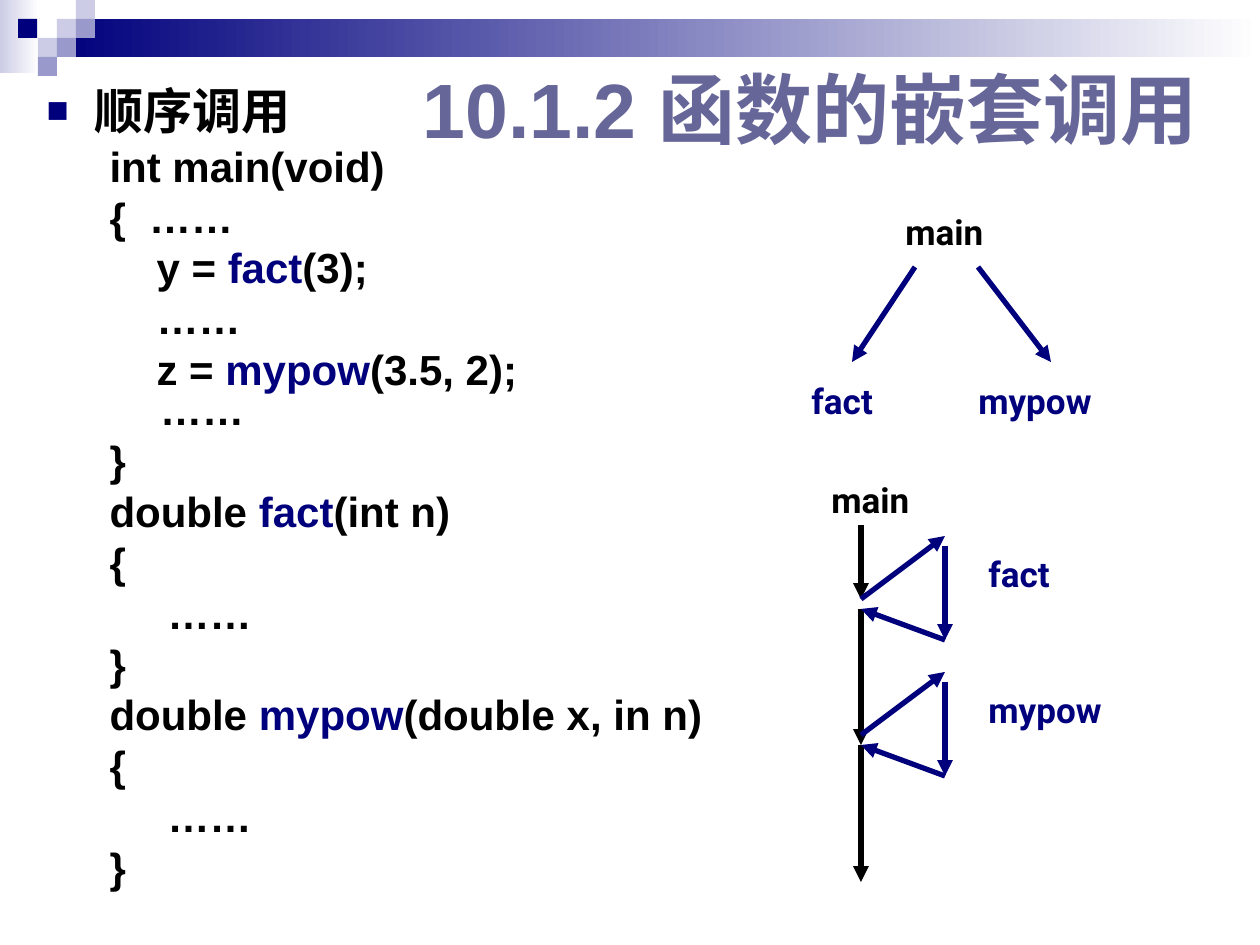
from lxml import etree
from pptx import Presentation
from pptx.dml.color import RGBColor
from pptx.enum.shapes import MSO_CONNECTOR as Connector, MSO_SHAPE as Shape
from pptx.enum.text import MSO_ANCHOR as Anchor, MSO_AUTO_SIZE as AutoSize, PP_ALIGN as Align
from pptx.oxml.ns import qn
from pptx.util import Pt

EMU_PER_PIXEL = 914400 / 126
BLACK, NAVY, SLATE = "000000", "00007D", "666699"
LILAC, VIOLET, WHITE = "CCCCE6", "9999CC", "FFFFFF"


def px(value):
    return round(value * EMU_PER_PIXEL)


def color(hex_string):
    return RGBColor.from_string(hex_string)


def add_xml(parent, tag, **attributes):
    return etree.SubElement(parent, qn(tag), {k: str(v) for k, v in attributes.items()})


def write(paragraph, *runs, size, font="Arial", fill=BLACK, before=0, spacing=None):
    """Each run is a string or a (string, colour) pair; a newline breaks the line."""
    paragraph.alignment = Align.LEFT
    paragraph.space_before = Pt(before)
    if spacing:
        paragraph.line_spacing = spacing
    for item in runs:
        text, run_fill = (item, fill) if isinstance(item, str) else item
        for number, piece in enumerate(text.split("\n")):
            if number:
                paragraph.add_line_break()
            run = paragraph.add_run()
            run.text = piece
            run.font.name, run.font.size, run.font.bold = font, Pt(size), True
            run.font.color.rgb = color(run_fill)


class SlideBuilder:
    def __init__(self, slide, label_font="Roboto", label_size=20, line_width=3):
        self.slide = slide
        self.label_font = label_font
        self.label_size = label_size
        self.line_width = line_width

    def rectangle(self, left, top, width, height, fill, fade_to=None):
        shape = self.slide.shapes.add_shape(
            Shape.RECTANGLE, px(left), px(top), px(width), px(height))
        shape.shadow.inherit = False
        shape.line.fill.background()
        if fade_to:
            shape.fill.gradient()
            shape.fill.gradient_angle = 0
            for stop, stop_color in zip(shape.fill.gradient_stops, (fill, fade_to)):
                stop.color.rgb = color(stop_color)
        else:
            shape.fill.solid()
            shape.fill.fore_color.rgb = color(fill)

    def placeholder(self, index, left, top, width, height, anchor):
        shape = self.slide.placeholders[index]
        shape.left, shape.top, shape.width, shape.height = map(px, (left, top, width, height))
        frame = shape.text_frame
        frame.word_wrap, frame.auto_size = True, AutoSize.NONE
        frame.vertical_anchor = anchor
        return frame

    def indent(self, paragraph, margin, first_line, bullet=None):
        properties = paragraph._p.get_or_add_pPr()
        properties.set("marL", str(px(margin)))
        properties.set("indent", str(px(first_line)))
        if bullet:
            add_xml(add_xml(properties, "a:buClr"), "a:srgbClr", val=NAVY)
            add_xml(properties, "a:buSzPct", val=75000)
            add_xml(properties, "a:buFont", typeface="Arial")
            add_xml(properties, "a:buChar", char=bullet)
        else:
            add_xml(properties, "a:buNone")

    def label(self, text, left, top, width, fill=NAVY):
        box = self.slide.shapes.add_textbox(px(left), px(top), px(width), px(55))
        box.text_frame.word_wrap = True
        box.text_frame.auto_size = AutoSize.SHAPE_TO_FIT_TEXT
        write(box.text_frame.paragraphs[0], text, size=self.label_size,
              font=self.label_font, fill=fill, before=12.5)

    def arrow(self, start, end, fill=NAVY):
        connector = self.slide.shapes.add_connector(
            Connector.STRAIGHT, *map(px, start + end))
        connector.line.color.rgb = color(fill)
        connector.line.width = Pt(self.line_width)
        add_xml(connector.line._get_or_add_ln(), "a:tailEnd", type="triangle")
        add_xml(connector._element.spPr, "a:effectLst")


presentation = Presentation()
presentation.slide_width, presentation.slide_height = px(1260), px(945)
slide = presentation.slides.add_slide(presentation.slide_layouts[1])
builder = SlideBuilder(slide)

# Header band and its squares
SQUARE = 19
builder.rectangle(0, 0, 39, 73, LILAC, fade_to=WHITE)
builder.rectangle(3 * SQUARE, SQUARE, 1203, 2 * SQUARE, NAVY, fade_to=WHITE)
for column, row, fill in [(3, 1, LILAC), (4, 0, LILAC), (4, 1, VIOLET), (2, 2, LILAC),
                          (0.95, 1, NAVY), (3, 2, VIOLET), (2, 3, VIOLET)]:
    builder.rectangle(column * SQUARE, row * SQUARE, SQUARE, SQUARE, fill)

# Title
title = builder.placeholder(0, 410, 55, 850, 105, Anchor.MIDDLE)
write(title.paragraphs[0], "10.1.2 函数的嵌套调用", size=44, fill=SLATE)

# Code listing: first-line indents for outer, statement and inner lines
OUTER, STATEMENT, INNER = -39, 8, 19
FACT, MYPOW = ("fact", NAVY), ("mypow", NAVY)
function_body = [(OUTER, ["{"]), (INNER, ["……"]), (OUTER, ["}"])]
code = [
    (OUTER, ["int main(void)"]),
    (OUTER, ["{  ……"]),
    (STATEMENT, ["y = ", FACT, "(3);"]),
    (STATEMENT, ["……"]),
    (STATEMENT, ["z = ", MYPOW, "(3.5, 2);\n ……"]),
    (OUTER, ["}"]),
    (OUTER, ["double ", FACT, "(int n)"]),
    *function_body,
    (OUTER, ["double ", MYPOW, "(double x, in n)"]),
    *function_body,
]
body = builder.placeholder(1, 34, 86, 694, 833, Anchor.TOP)
heading = body.paragraphs[0]
write(heading, "顺序调用", size=28, before=7, spacing=0.8)
builder.indent(heading, 48, -48, bullet="■")
for first_line, runs in code:
    paragraph = body.add_paragraph()
    paragraph.level = 1
    write(paragraph, *runs, size=24, before=6, spacing=0.8)
    builder.indent(paragraph, 102, first_line)

# Call tree
builder.label("main", 893, 204, 136, fill=BLACK)
builder.label("fact", 799, 373, 95)
builder.label("mypow", 966, 373, 179)
builder.arrow((915, 267), (852, 362))
builder.arrow((978, 267), (1051, 362))

# Call sequence: main runs down, each call leaves it and returns
MAIN_X, CALL_X, CALL_STEP = 861, 945, 136
for start, end in [(525, 599), (609, 745), (745, 882)]:
    builder.arrow((MAIN_X, start), (MAIN_X, end), fill=BLACK)
builder.label("main", 819, 472, 136, fill=BLACK)
for number, (name, width) in enumerate([("fact", 95), ("mypow", 168)]):
    shift = number * CALL_STEP
    builder.arrow((MAIN_X, 599 + shift), (CALL_X, 536 + shift))
    builder.arrow((CALL_X, 546 + shift), (CALL_X, 640 + shift))
    builder.arrow((CALL_X, 640 + shift), (MAIN_X, 609 + shift))
    builder.label(name, 976, 546 + shift, width)

presentation.save("out.pptx")
